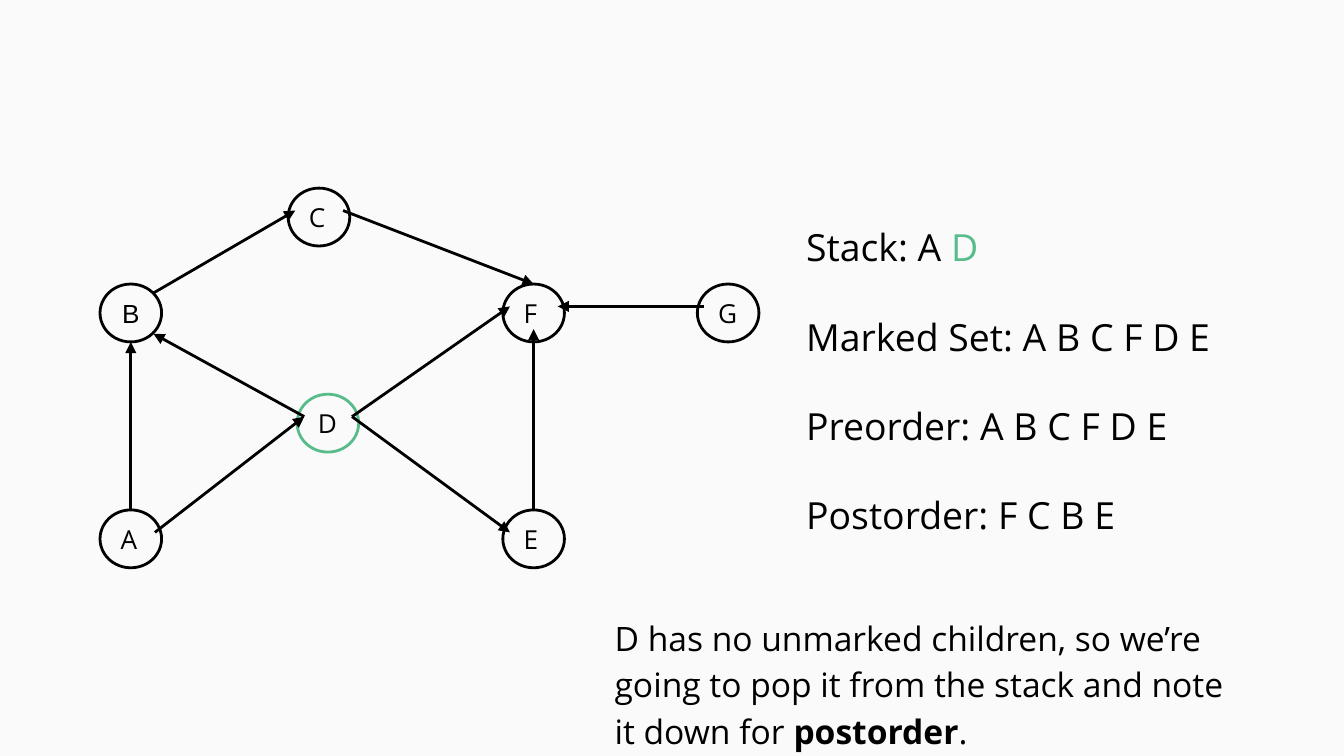
from lxml import etree
from pptx import Presentation
from pptx.dml.color import RGBColor
from pptx.enum.shapes import MSO_CONNECTOR, MSO_SHAPE
from pptx.enum.text import MSO_ANCHOR, PP_ALIGN
from pptx.oxml.ns import qn
from pptx.util import Pt

OVAL = MSO_SHAPE.OVAL
LINE = MSO_CONNECTOR.STRAIGHT
LEFT = PP_ALIGN.LEFT
TOP, MID = MSO_ANCHOR.TOP, MSO_ANCHOR.MIDDLE
BLACK, GREEN, PAPER = "000000", "57BB8A", "FAFAFA"
SANS = "Open Sans"

# Content: each run is (text, colour, bold)
STATE = [
    [("Stack: A ", BLACK, False), ("D", GREEN, False)],
    [("Marked Set: A B C F D E", BLACK, False)],
    [("Preorder: A B C F D E", BLACK, False)],
    [("Postorder: F C B E", BLACK, False)],
]
NOTE = [[
    ("D has no unmarked children, so we’re going to pop it from the stack "
     "and note it down for ", BLACK, False),
    ("postorder", BLACK, True),
    (".", BLACK, False),
]]

# Graph: left and top of each node
LOW, HIGH, WEST, EAST = 273.2, 152.2, 53.6, 269.4
NODES = {
    "A": (WEST, LOW), "B": (WEST, HIGH), "C": (154.4, 100.8),
    "D": (159.2, 211.2), "E": (EAST, LOW), "F": (EAST, HIGH),
    "G": (373.6, HIGH),
}
ACTIVE = "D"
WIDE, TALL = 33, 31
# Where an edge meets a node, from the node's left and top
PORTS = {
    "top": (WIDE / 2, 0), "bottom": (WIDE / 2, TALL),
    "left": (3.8, 12), "right": (29.4, 12),
    "upper": (28.6, 4.8), "lower": (28.6, 26.6), "inner": (WIDE / 2, 24.2),
}
EDGES = [
    ("A", "top", "B", "bottom"), ("B", "upper", "C", "left"),
    ("D", "left", "B", "lower"), ("A", "right", "D", "left"),
    ("D", "right", "F", "left"), ("C", "right", "F", "top"),
    ("G", "left", "F", "right"), ("D", "right", "E", "left"),
    ("E", "top", "F", "inner"),
]


def tint(code):
    return RGBColor.from_string(code)


def write(shape, paras, size, face=SANS, anchor=TOP, gap=0):
    frame = shape.text_frame
    frame.word_wrap = True
    frame.vertical_anchor = anchor
    frame.margin_left = frame.margin_right = Pt(7.2)
    frame.margin_top = frame.margin_bottom = Pt(7.2)
    for i, runs in enumerate(paras):
        para = frame.add_paragraph() if i else frame.paragraphs[0]
        para.alignment = LEFT
        para.font.size = Pt(size)
        para.font.name = face
        if i:
            para.space_before = Pt(gap)
        for text, color, bold in runs:
            run = para.add_run()
            run.text = text
            run.font.color.rgb = tint(color)
            run.font.bold = bold
    return frame


def box(*area):
    return slide.shapes.add_textbox(*map(Pt, area))


deck = Presentation()
deck.slide_width, deck.slide_height = Pt(720), Pt(405)
slide = deck.slides.add_slide(deck.slide_layouts[6])
slide.background.fill.solid()
slide.background.fill.fore_color.rgb = tint(PAPER)

# Traversal state and note
write(box(424.8, 113, 273.6, 179.3), STATE, 20, gap=23.9)
note = write(box(286.2, 320.6, 383.8, 84.4), NOTE, 18).paragraphs[0]
note.line_spacing = 1.15
props = note._p.get_or_add_pPr()
props.set("marL", str(Pt(36)))
props.set("indent", "0")

# Nodes
for name, (x, y) in NODES.items():
    node = slide.shapes.add_shape(OVAL, Pt(x), Pt(y), Pt(WIDE), Pt(TALL))
    node.shadow.inherit = False
    node.fill.background()
    node.line.color.rgb = tint(GREEN if name == ACTIVE else BLACK)
    node.line.width = Pt(1.5)
    label = [[(name, BLACK, False)]]
    if name == "B":
        write(node, label, 14, "Arial", MID)
    else:
        write(box(x + 4, y, 25.2, 23.8), label, 14)

# Edges
for start, out, end, into in EDGES:
    spots = [at + move
             for name, port in ((start, out), (end, into))
             for at, move in zip(NODES[name], PORTS[port])]
    edge = slide.shapes.add_connector(LINE, *map(Pt, spots))
    edge.line.color.rgb = tint(BLACK)
    edge.line.width = Pt(1.5)
    tip = etree.SubElement(edge.line._get_or_add_ln(), qn("a:tailEnd"))
    tip.set("type", "triangle")
    etree.SubElement(edge._element.spPr, qn("a:effectLst"))

deck.save("out.pptx")
